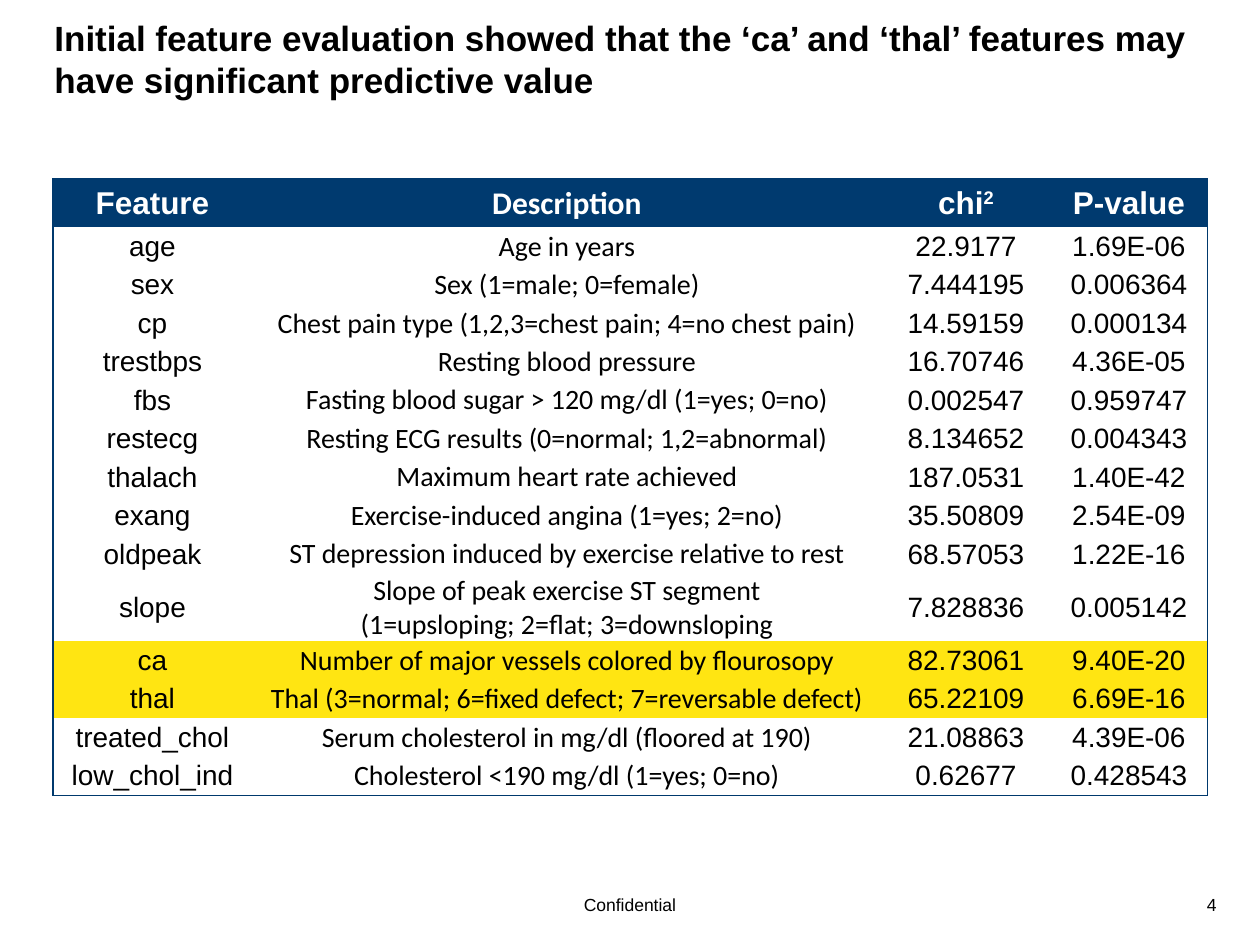
from dataclasses import dataclass

from lxml import etree
from pptx import Presentation
from pptx.dml.color import RGBColor
from pptx.enum.text import MSO_ANCHOR, PP_ALIGN
from pptx.oxml.ns import qn
from pptx.util import Pt

PX = 914400 / 126
LEFT, CENTER, RIGHT = PP_ALIGN.LEFT, PP_ALIGN.CENTER, PP_ALIGN.RIGHT
TOP, MIDDLE = MSO_ANCHOR.TOP, MSO_ANCHOR.MIDDLE
PLAIN_TABLE_STYLE = "{2D5ABB26-0587-4C30-8999-92F81FD0307C}"


@dataclass(frozen=True)
class Theme:
    font: str = "Arial"
    description_font: str = "Calibri"
    ink: str = "000000"
    header_ink: str = "FFFFFF"
    header_fill: str = "003A6F"
    border: str = "00396D"
    highlight: str = "FFE512"
    title_size: int = 20
    header_size: int = 18
    body_size: int = 16
    footer_size: int = 10
    border_width: float = 0.75


THEME = Theme()

TITLE = ("Initial feature evaluation showed that the ‘ca’ and ‘thal’ features may "
         "have significant predictive value")
HEADER = ("Feature", "Description", "chi^2", "P-value")
FEATURES = [
    ("age", "Age in years", "22.9177", "1.69E-06"),
    ("sex", "Sex (1=male; 0=female)", "7.444195", "0.006364"),
    ("cp", "Chest pain type (1,2,3=chest pain; 4=no chest pain)", "14.59159", "0.000134"),
    ("trestbps", "Resting blood pressure", "16.70746", "4.36E-05"),
    ("fbs", "Fasting blood sugar > 120 mg/dl (1=yes; 0=no)", "0.002547", "0.959747"),
    ("restecg", "Resting ECG results (0=normal; 1,2=abnormal)", "8.134652", "0.004343"),
    ("thalach", "Maximum heart rate achieved", "187.0531", "1.40E-42"),
    ("exang", "Exercise-induced angina (1=yes; 2=no)", "35.50809", "2.54E-09"),
    ("oldpeak", "ST depression induced by exercise relative to rest", "68.57053", "1.22E-16"),
    ("slope", "Slope of peak exercise ST segment\n(1=upsloping; 2=flat; 3=downsloping",
     "7.828836", "0.005142"),
    ("ca", "Number of major vessels colored by flourosopy", "82.73061", "9.40E-20"),
    ("thal", "Thal (3=normal; 6=fixed defect; 7=reversable defect)", "65.22109", "6.69E-16"),
    ("treated_chol", "Serum cholesterol in mg/dl (floored at 190)", "21.08863", "4.39E-06"),
    ("low_chol_ind", "Cholesterol <190 mg/dl (1=yes; 0=no)", "0.62677", "0.428543"),
]
HIGHLIGHTED = {"ca", "thal"}
COLUMN_WIDTHS = (199, 630, 168, 158)
HEADER_HEIGHT = 48


def px(length):
    return round(length * PX)


def write_text(frame, text, *, size, font=THEME.font, color=THEME.ink, bold=False,
               align=LEFT):
    """Write one paragraph per line; the part after ^ is superscript."""
    for index, line in enumerate(text.split("\n")):
        para = frame.add_paragraph() if index else frame.paragraphs[0]
        para.alignment = align
        base, _, raised = line.partition("^")
        for part in filter(None, (base, raised)):
            span = para.add_run()
            span.text = part
            span.font.name = font
            span.font.size = Pt(size)
            span.font.bold = bold
            span.font.color.rgb = RGBColor.from_string(color)
        if raised:
            span.font._element.set("baseline", "30000")


def add_text(page, text, left, top, width, height, *, anchor=TOP, **text_format):
    box = page.shapes.add_textbox(px(left), px(top), px(width), px(height))
    frame = box.text_frame
    frame.word_wrap = True
    frame.vertical_anchor = anchor
    write_text(frame, text, **text_format)


def set_borders(cell, sides):
    """Draw the given sides, which must follow the order L, R, T, B."""
    properties = cell._tc.get_or_add_tcPr()
    for index, side in enumerate(sides):
        line = etree.Element(qn(f"a:ln{side}"), w=str(Pt(THEME.border_width)))
        fill = etree.SubElement(line, qn("a:solidFill"))
        etree.SubElement(fill, qn("a:srgbClr"), val=THEME.border)
        properties.insert(index, line)


def format_cell(cell, text, *, fill=None, borders="", **text_format):
    cell.margin_left = cell.margin_right = cell.margin_top = px(1)
    cell.margin_bottom = 0
    cell.vertical_anchor = MIDDLE
    if fill:
        cell.fill.solid()
        cell.fill.fore_color.rgb = RGBColor.from_string(fill)
    else:
        cell.fill.background()
    set_borders(cell, borders)
    write_text(cell.text_frame, text, align=CENTER, **text_format)


def outer_sides(row, column, last_row, last_column):
    edges = {"L": column == 0, "R": column == last_column,
             "T": row == 0, "B": row == last_row}
    return "".join(side for side, is_outer in edges.items() if is_outer)


def add_feature_table(page, left, top):
    rows = [HEADER, *FEATURES]
    # Body rows alternate between 38 and 39 px to average 38.5 px.
    heights = [HEADER_HEIGHT] + [38 + index % 2 for index in range(len(FEATURES))]
    holder = page.shapes.add_table(len(rows), len(HEADER), px(left), px(top),
                                   px(sum(COLUMN_WIDTHS)), px(sum(heights)))
    table = holder.table
    table.horz_banding = False
    table._tbl.tblPr.find(qn("a:tableStyleId")).text = PLAIN_TABLE_STYLE
    for column, width in zip(table.columns, COLUMN_WIDTHS):
        column.width = px(width)
    for row, height in zip(table.rows, heights):
        row.height = px(height)

    header_format = dict(size=THEME.header_size, color=THEME.header_ink,
                         bold=True, fill=THEME.header_fill)
    for r, values in enumerate(rows):
        body_fill = THEME.highlight if values[0] in HIGHLIGHTED else None
        row_format = header_format if r == 0 else dict(size=THEME.body_size, fill=body_fill)
        for c, text in enumerate(values):
            font = THEME.description_font if c == 1 else THEME.font
            borders = outer_sides(r, c, len(rows) - 1, len(HEADER) - 1)
            format_cell(table.cell(r, c), text, font=font, borders=borders, **row_format)


def main():
    deck = Presentation()
    deck.slide_width, deck.slide_height = px(1260), px(945)
    page = deck.slides.add_slide(deck.slide_layouts[6])
    add_text(page, TITLE, 42, 10, 1176, 97, anchor=MIDDLE,
             size=THEME.title_size, bold=True)
    add_feature_table(page, 53, 179)
    add_text(page, "Confidential", 252, 888, 756, 34, size=THEME.footer_size, align=CENTER)
    add_text(page, "4", 1172, 888, 57, 34, size=THEME.footer_size, align=RIGHT)
    deck.save("out.pptx")


if __name__ == "__main__":
    main()
